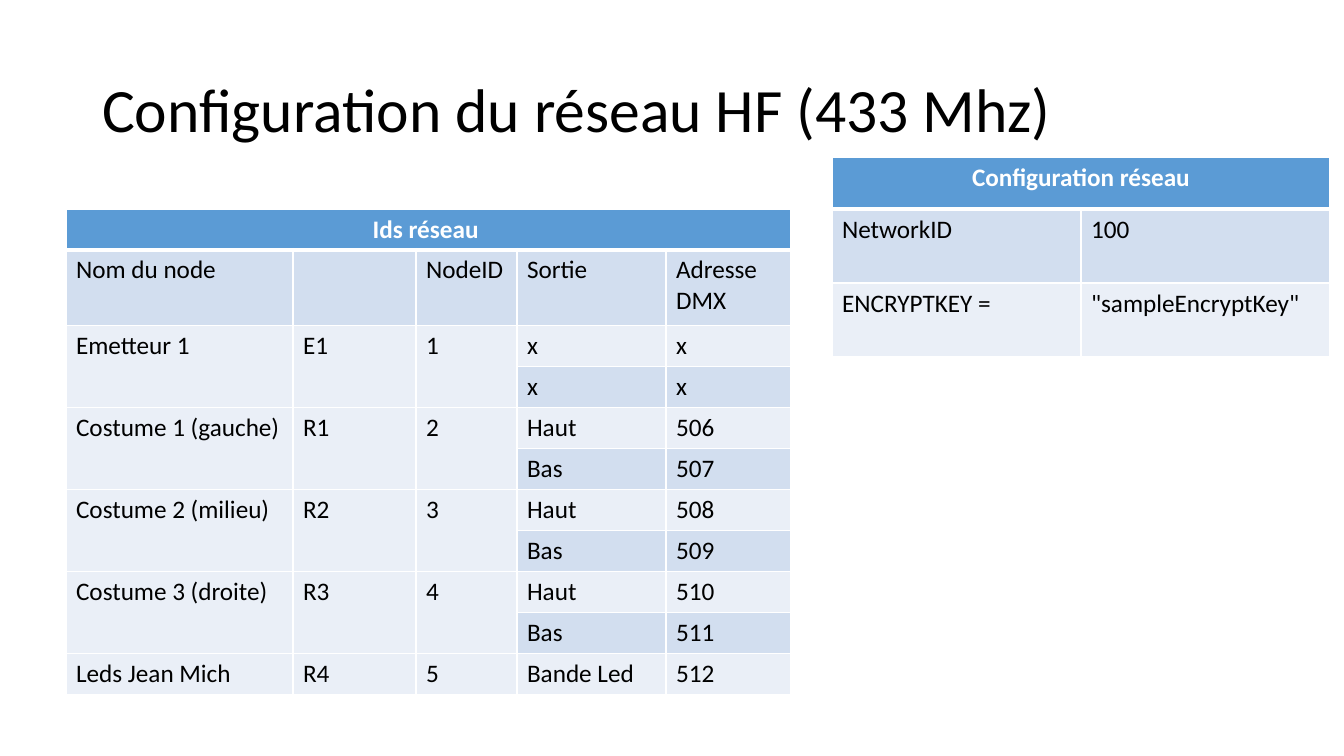
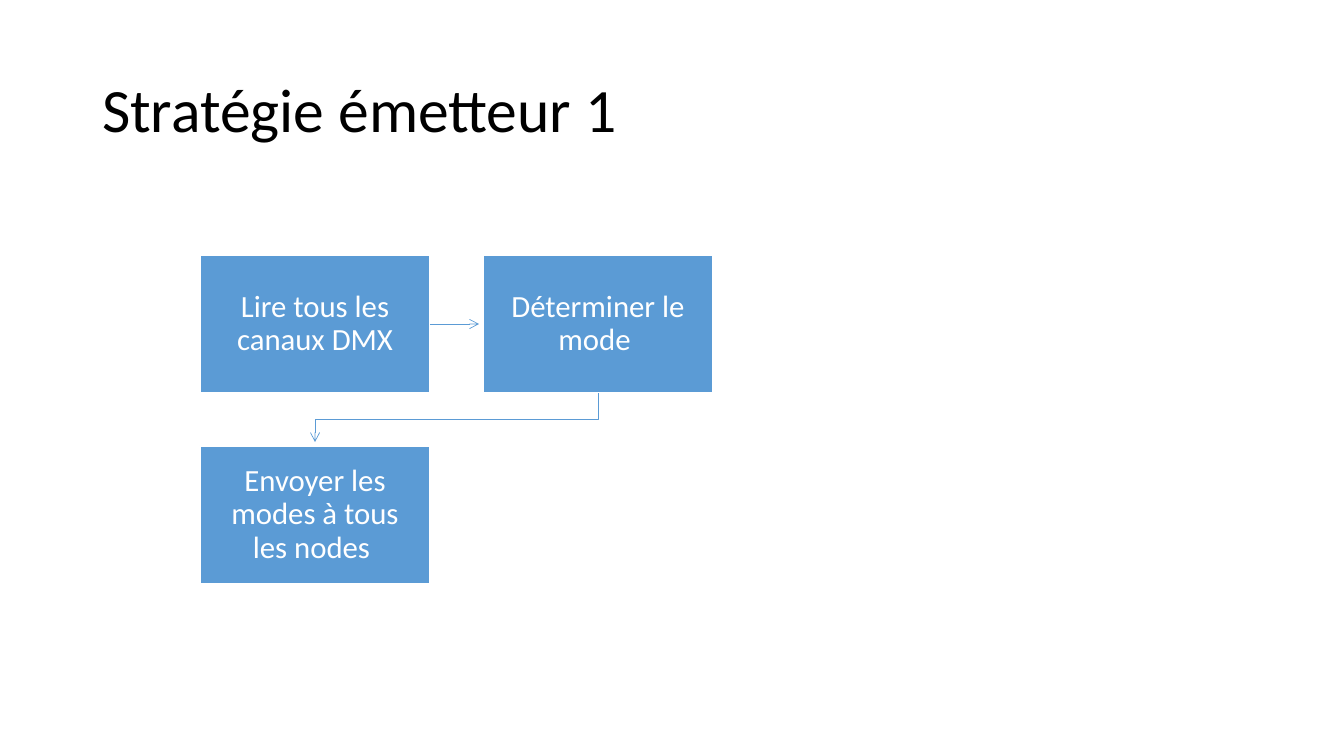
from dataclasses import dataclass

from lxml import etree
from pptx import Presentation
from pptx.dml.color import RGBColor
from pptx.enum import shapes, text
from pptx.oxml import ns
from pptx.util import Emu, Pt

PIXEL = 914400 / 100.8
FONT = "Calibri"
BLACK = RGBColor(0x00, 0x00, 0x00)
WHITE = RGBColor(0xFF, 0xFF, 0xFF)
BLUE = RGBColor(0x5B, 0x9B, 0xD5)
BAND_DARK = RGBColor(0xD2, 0xDE, 0xEF)
BAND_LIGHT = RGBColor(0xEA, 0xEF, 0xF7)


@dataclass(frozen=True)
class Grid:
    left: int
    top: int
    columns: list[int]
    heights: list[int]
    heading: str
    rows: list[list[str]]
    paired_rows: tuple[int, ...] = ()
    paired_columns: int = 0


@dataclass(frozen=True)
class Step:
    label: str
    column: int
    row: int

    @property
    def left(self) -> int:
        return 200 + 283 * self.column

    @property
    def top(self) -> int:
        return 255 + 191 * self.row

    @property
    def center(self) -> int:
        return self.left + STEP_WIDTH // 2

    @property
    def middle(self) -> int:
        return self.top + STEP_HEIGHT // 2


STEP_WIDTH, STEP_HEIGHT, STEP_INSET = 230, 138, 17
ARROW_GAP = 4

NODES = [
    ("Emetteur 1 ", "E1", "1", ("x", "x"), ("x", "x")),
    ("Costume 1 (gauche) ", "R1", "2", ("Haut ", "506"), ("Bas ", "507")),
    ("Costume 2 (milieu)", "R2", "3", ("Haut", "508"), ("Bas ", "509")),
    ("Costume 3 (droite)", "R3", "4", ("Haut", "510"), ("Bas ", "511")),
]
NODE_ROWS = [
    row
    for name, code, number, upper, lower in NODES
    for row in ([name, code, number, *upper], ["", "", "", *lower])
]

NETWORK = Grid(
    832, 157, [249, 249], [52, 74, 74], "Configuration réseau",
    [["NetworkID ", "100 "], ["ENCRYPTKEY =", '"sampleEncryptKey"']],
)
NODE_IDS = Grid(
    66, 209, [227, 123, 101, 149, 125], [40, 76] + [41] * 9, "Ids réseau ",
    [
        ["Nom du node ", "", "NodeID ", "Sortie", "Adresse DMX"],
        *NODE_ROWS,
        ["Leds Jean Mich", "R4", "5", "Bande Led ", "512"],
    ],
    paired_rows=(2, 4, 6, 8),
    paired_columns=3,
)

READ = Step("Lire tous les canaux DMX", 0, 0)
CHOOSE = Step("Déterminer le mode ", 1, 0)
SEND = Step("Envoyer les modes à tous les nodes ", 0, 1)


def px(length: float) -> Emu:
    return Emu(round(length * PIXEL))


def style_text(frame, size: int, color: RGBColor, align, bold: bool = False) -> None:
    for para in frame.paragraphs:
        para.alignment = align
        for span in para.runs:
            span.font.name = FONT
            span.font.size = Pt(size)
            span.font.bold = bold
            span.font.color.rgb = color


def add_page(deck, title: str):
    page = deck.slides.add_slide(deck.slide_layouts[5])
    box = page.shapes.title
    box.left, box.top, box.width, box.height = px(92), px(40), px(1160), px(146)
    frame = box.text_frame
    frame.text = title
    frame.word_wrap = True
    frame.auto_size = text.MSO_AUTO_SIZE.NONE
    frame.vertical_anchor = text.MSO_ANCHOR.MIDDLE
    frame.paragraphs[0].line_spacing = 0.9
    style_text(frame, 44, BLACK, text.PP_ALIGN.LEFT)
    return page


def add_border(cell, side: str, points: int) -> None:
    properties = cell._tc.get_or_add_tcPr()
    line = etree.SubElement(properties, ns.qn(f"a:ln{side}"), w=str(Pt(points)))
    fill = etree.SubElement(line, ns.qn("a:solidFill"))
    etree.SubElement(fill, ns.qn("a:srgbClr"), val=str(WHITE))


def format_cell(cell, row: int) -> None:
    heading = row == 0
    widths = {"L": 1, "R": 1, "T": 3 if row == 1 else 1, "B": 3 if heading else 1}
    for side, points in widths.items():
        add_border(cell, side, points)
    cell.fill.solid()
    cell.fill.fore_color.rgb = BLUE if heading else (BAND_LIGHT, BAND_DARK)[row % 2]
    align = text.PP_ALIGN.CENTER if heading else text.PP_ALIGN.LEFT
    style_text(cell.text_frame, 18, WHITE if heading else BLACK, align, heading)


def add_grid(page, grid: Grid) -> None:
    table = page.shapes.add_table(
        len(grid.heights), len(grid.columns), px(grid.left), px(grid.top),
        px(sum(grid.columns)), px(sum(grid.heights)),
    ).table
    for column, width in zip(table.columns, grid.columns):
        column.width = px(width)
    for row, height in zip(table.rows, grid.heights):
        row.height = px(height)
    heading = [grid.heading] + [""] * (len(grid.columns) - 1)
    for row, labels in enumerate([heading, *grid.rows]):
        for column, label in enumerate(labels):
            cell = table.cell(row, column)
            cell.text_frame.text = label
            format_cell(cell, row)
    table.cell(0, 0).merge(table.cell(0, len(grid.columns) - 1))
    for row in grid.paired_rows:
        for column in range(grid.paired_columns):
            table.cell(row, column).merge(table.cell(row + 1, column))


def add_step(page, step: Step) -> None:
    box = page.shapes.add_shape(
        shapes.MSO_SHAPE.RECTANGLE, px(step.left), px(step.top),
        px(STEP_WIDTH), px(STEP_HEIGHT),
    )
    box.shadow.inherit = False
    box.fill.solid()
    box.fill.fore_color.rgb = BLUE
    box.line.color.rgb = WHITE
    box.line.width = Pt(1)
    frame = box.text_frame
    frame.text = step.label
    frame.word_wrap = True
    frame.vertical_anchor = text.MSO_ANCHOR.MIDDLE
    frame.margin_left = frame.margin_right = px(STEP_INSET)
    frame.margin_top = frame.margin_bottom = px(STEP_INSET)
    frame.paragraphs[0].line_spacing = 0.9
    style_text(frame, 22, WHITE, text.PP_ALIGN.CENTER)


def format_arrow(arrow) -> None:
    arrow.line.color.rgb = BLUE
    arrow.line.width = Pt(0.5)
    etree.SubElement(arrow.line._get_or_add_ln(), ns.qn("a:tailEnd"), type="arrow")


def add_straight_arrow(page, start: Step, end: Step) -> None:
    arrow = page.shapes.add_connector(
        shapes.MSO_CONNECTOR.STRAIGHT, px(start.left + STEP_WIDTH), px(start.middle),
        px(end.left - ARROW_GAP), px(end.middle),
    )
    format_arrow(arrow)
    etree.SubElement(arrow._element.spPr, ns.qn("a:effectLst"))


def add_bent_arrow(page, start: Step, end: Step) -> None:
    bottom = start.top + STEP_HEIGHT
    bend = (bottom + end.top) // 2
    builder = page.shapes.build_freeform(start.center, bottom, scale=PIXEL)
    builder.add_line_segments(
        [(start.center, bend), (end.center, bend), (end.center, end.top - ARROW_GAP)],
        close=False,
    )
    arrow = builder.convert_to_shape()
    arrow.fill.background()
    format_arrow(arrow)
    arrow.shadow.inherit = False


def main() -> None:
    deck = Presentation()
    deck.slide_width, deck.slide_height = px(1344), px(756)

    network_page = add_page(deck, "Configuration du réseau HF (433 Mhz) ")
    for grid in (NETWORK, NODE_IDS):
        add_grid(network_page, grid)

    strategy_page = add_page(deck, "Stratégie émetteur 1 ")
    for step in (READ, CHOOSE, SEND):
        add_step(strategy_page, step)
    add_straight_arrow(strategy_page, READ, CHOOSE)
    add_bent_arrow(strategy_page, CHOOSE, SEND)

    deck.save("out.pptx")


main()
